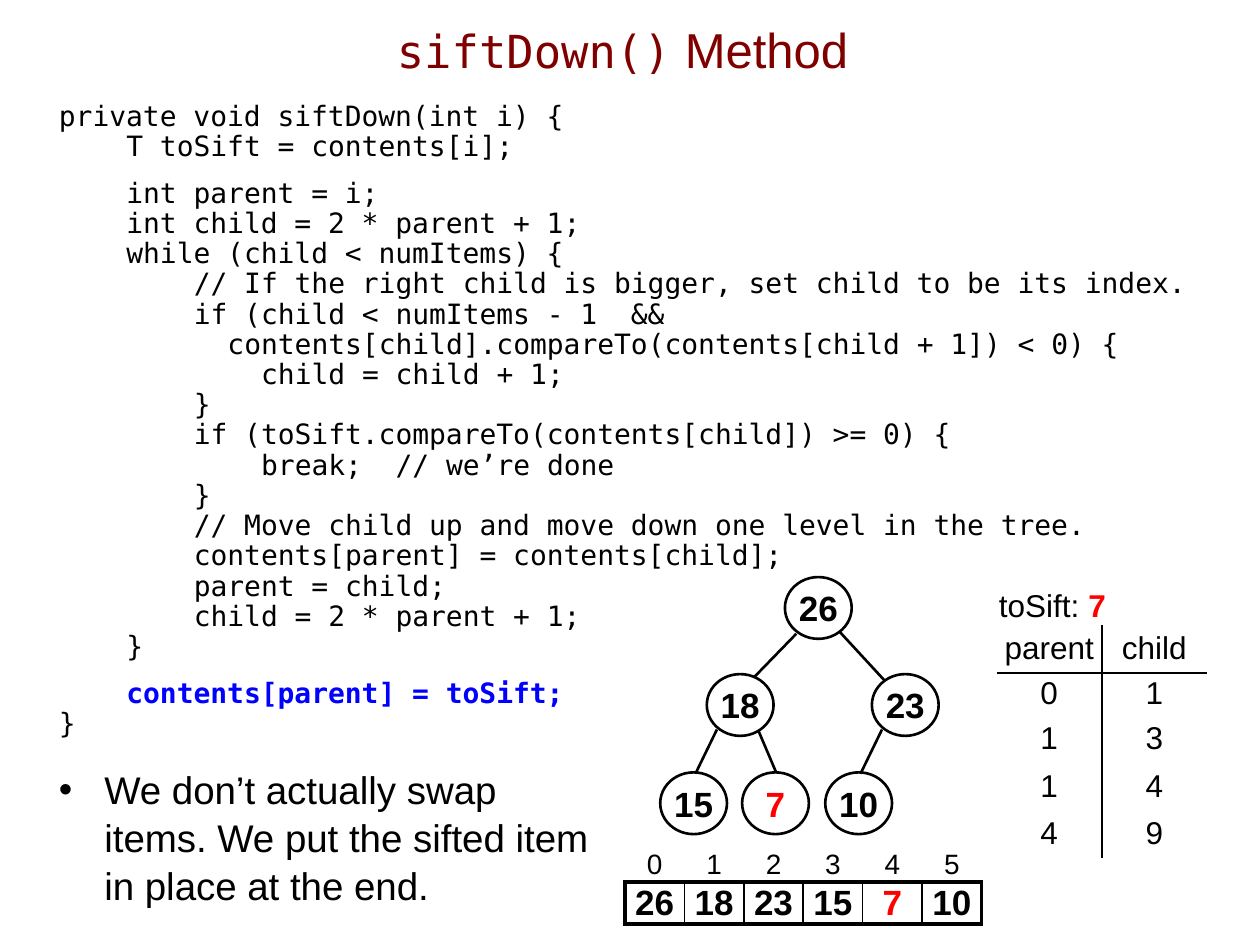
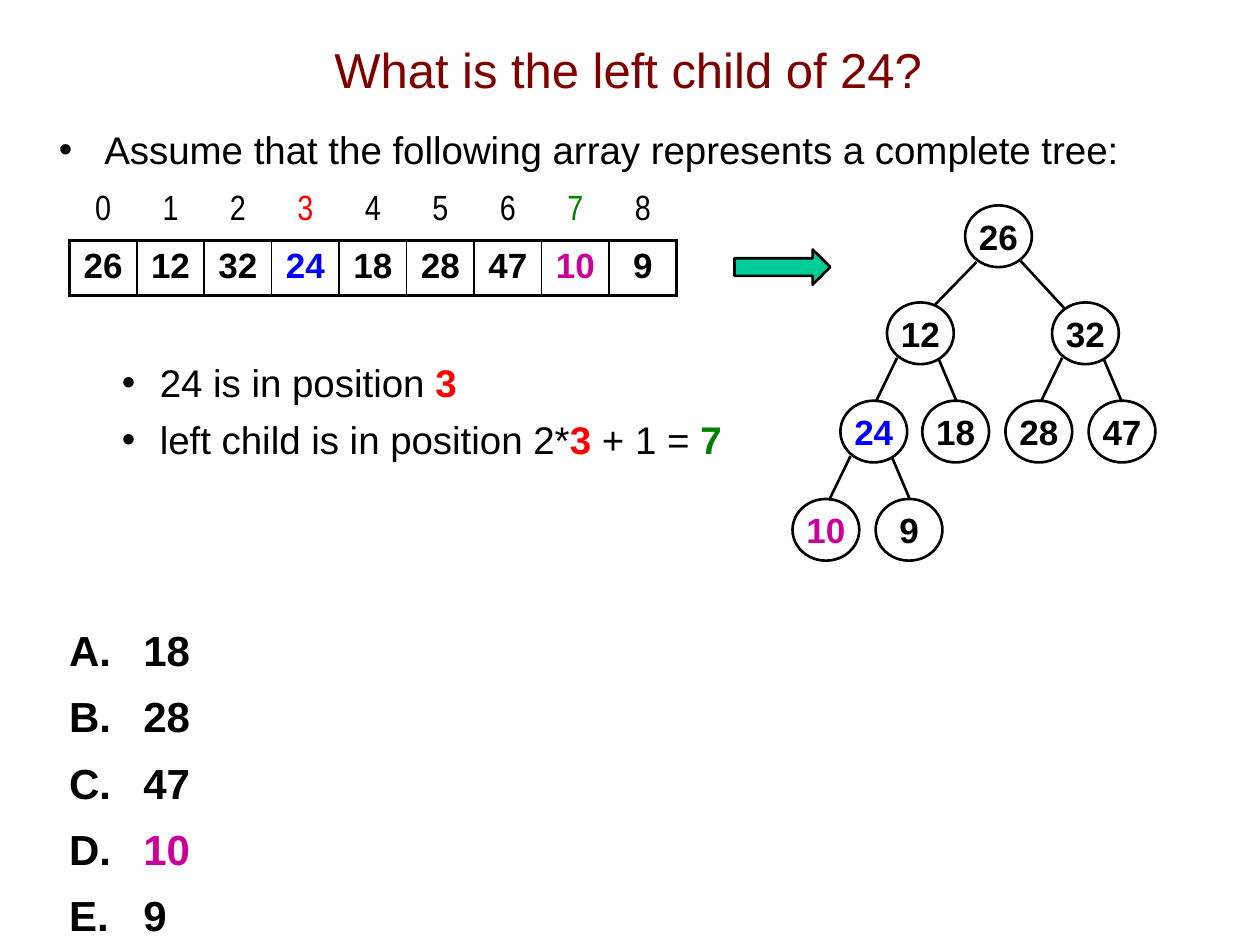
from dataclasses import dataclass
from typing import NamedTuple

from lxml import etree
from pptx import Presentation
from pptx import util as u
from pptx.dml import color
from pptx.enum import shapes, text
from pptx.oxml import ns

PX = 9144  # EMU in one px: 100 px to the inch


@dataclass(frozen=True)
class Theme:
    black: str = "000000"
    maroon: str = "800000"
    red: str = "FF0000"
    blue: str = "0000FF"
    green: str = "008000"
    magenta: str = "CC0099"
    teal: str = "00CC99"
    sans: str = "Arial"
    narrow: str = "Arial Narrow"
    mono: str = "DejaVu Sans Mono"
    title: int = 28
    mono_title: int = 26
    option: int = 24
    body: int = 22
    value: int = 20
    label: int = 18
    code: int = 16
    line: float = 1.5
    thick: float = 2.25
    thin: float = 1
    leading: float = 1.04


T = Theme()


class Box(NamedTuple):
    x: int
    y: int
    w: int
    h: int

    def emu(self):
        return [v * PX for v in self]


CODE = """\
private void siftDown(int i) {
    T toSift = contents[i];

    int parent = i;
    int child = 2 * parent + 1;
    while (child < numItems) {
        // If the right child is bigger, set child to be its index.
        if (child < numItems - 1  &&
          contents[child].compareTo(contents[child + 1]) < 0) {
            child = child + 1;
        }
        if (toSift.compareTo(contents[child]) >= 0) {
            break;  // we’re done
        }
        // Move child up and move down one level in the tree.
        contents[parent] = contents[child];
        parent = child;
        child = 2 * parent + 1;
    }

    contents[parent] = toSift;
}"""
KEY_LINE = "contents[parent] = toSift;"
CODE_CHAR = 9.63  # advance of one code character, in points
CODE_GAP = 9.6    # half a line

# Tree nodes in heap order, from the root's top-left corner
NODE_W, NODE_H = 53, 49
SLOTS = [(0, 0), (-62, 77), (69, 77), (-99, 155), (-34, 155), (32, 155),
         (98, 155), (-137, 233), (-71, 233)]
# Edge ends from the parent's corner: left child, right child
ROOT_EDGES = [(9, 45, -24, 79), (43, 43, 79, 82)]
EDGES = [(8, 44, -9, 79), (41, 45, 55, 78)]


def rgb(value):
    return color.RGBColor.from_string(value)


# ---- Text ----
def write(p, spans, size, font=T.sans, ink=T.black, bold=None):
    """Append spans; a (text, colour) span is bold unless bold is given."""
    for span in spans:
        words, tint = (span, ink) if isinstance(span, str) else span
        for i, line in enumerate(words.split("\n")):
            if i:
                p.add_line_break()
            r = p.add_run()
            r.text = line
            r.font.name, r.font.size = font, u.Pt(size)
            r.font.bold = tint != ink if bold is None else bold
            r.font.color.rgb = rgb(tint)


def next_paragraph(tf):
    return tf.paragraphs[0] if not tf.paragraphs[0].runs else tf.add_paragraph()


def space(p, line, before=0):
    p.line_spacing = line
    p.space_before = u.Pt(before)


def indent(p, left, hanging=0):
    pPr = p._p.get_or_add_pPr()
    pPr.set("marL", str(int(left)))
    pPr.set("indent", str(-int(hanging)))
    return pPr


def bullet(p, left, hanging, number=None):
    pPr = indent(p, left * PX, hanging * PX)
    tint = etree.SubElement(pPr, ns.qn("a:buClr"))
    etree.SubElement(tint, ns.qn("a:srgbClr"), val=T.black)
    etree.SubElement(pPr, ns.qn("a:buFont"), typeface=T.sans)
    if number:
        etree.SubElement(pPr, ns.qn("a:buAutoNum"), type=number)
    else:
        etree.SubElement(pPr, ns.qn("a:buChar"), char="•")


def text_box(s, box, wrap=True):
    tf = s.shapes.add_textbox(*box.emu()).text_frame
    tf.word_wrap = wrap
    return tf


def title(s, box):
    sp = s.shapes.title
    sp.left, sp.top, sp.width, sp.height = box.emu()
    tf = sp.text_frame
    tf.auto_size = text.MSO_AUTO_SIZE.NONE
    tf.vertical_anchor = text.MSO_ANCHOR.MIDDLE
    p = tf.paragraphs[0]
    p.alignment = text.PP_ALIGN.CENTER
    return p


def bullet_item(tf, spans, before=0, left=36, hanging=36):
    p = next_paragraph(tf)
    write(p, spans, T.body)
    space(p, T.leading, before)
    bullet(p, left, hanging)


def code_listing(tf):
    gap = 0
    for line in CODE.split("\n"):
        if not line:
            gap = CODE_GAP
            continue
        words = line.lstrip()
        p = next_paragraph(tf)
        write(p, [(words, T.blue) if words == KEY_LINE else words], T.code, T.mono)
        space(p, 0.9, gap)
        indent(p, u.Pt((len(line) - len(words)) * CODE_CHAR))
        gap = 0


def options(s, box, answers):
    tf = text_box(s, box)
    for answer in answers:
        p = next_paragraph(tf)
        write(p, [answer], T.option, bold=True)
        space(p, T.leading, 8)
        bullet(p, 59, 59, "alphaUcPeriod")


# ---- Tables ----
def borders(cell, widths):
    """Set left, right, top and bottom borders; 0 hides one."""
    tcPr = cell._tc.get_or_add_tcPr()
    for i, (side, width) in enumerate(zip("LRTB", widths)):
        ln = etree.Element(ns.qn("a:ln" + side), w=str(u.Pt(width)))
        if width:
            fill = etree.SubElement(ln, ns.qn("a:solidFill"))
            etree.SubElement(fill, ns.qn("a:srgbClr"), val=T.black)
        else:
            etree.SubElement(ln, ns.qn("a:noFill"))
        tcPr.insert(i, ln)


def grid(s, box, heights, columns):
    table = s.shapes.add_table(len(heights), columns, *box.emu()).table
    table.first_row = table.horz_banding = False
    for col in table.columns:
        col.width = box.w * PX // columns
    for row, height in zip(table.rows, heights):
        row.height = height * PX
    return table


def fill_row(table, row, values, size, edges, font=T.sans, bold=False, pad=0):
    last = len(values) - 1
    for i, value in enumerate(values):
        cell = table.cell(row, i)
        cell.fill.background()
        cell.margin_left = cell.margin_right = 0
        cell.margin_top = cell.margin_bottom = pad * PX
        cell.vertical_anchor = text.MSO_ANCHOR.TOP if pad else text.MSO_ANCHOR.MIDDLE
        p = cell.text_frame.paragraphs[0]
        p.alignment = text.PP_ALIGN.CENTER
        write(p, [value], size, font, bold=bold)
        side, inner, top, bottom = edges
        borders(cell, (inner if i else side, inner if i < last else side, top, bottom))


ARRAY_EDGES = (T.thick, T.thin, T.thick, T.thick)
NO_EDGES = (0, 0, 0, 0)


def trace_table(s, box, rows):
    table = grid(s, box, [38, 33, 38, 38, 38], 2)
    for i, values in enumerate(rows):
        top, bottom = T.thin * (i == 1), T.thin * (i == 0)
        fill_row(table, i, values, T.label, (0, T.thin, top, bottom))


# ---- Tree ----
def tree(s, x, y, values):
    for i, value in enumerate(values):
        dx, dy = SLOTS[i]
        sp = s.shapes.add_shape(shapes.MSO_SHAPE.OVAL,
                                *Box(x + dx, y + dy, NODE_W, NODE_H).emu())
        outline(sp)
        sp.fill.background()
        tf = sp.text_frame
        tf.margin_left = tf.margin_right = tf.margin_top = tf.margin_bottom = 0
        tf.word_wrap = False
        tf.vertical_anchor = text.MSO_ANCHOR.MIDDLE
        p = tf.paragraphs[0]
        p.alignment = text.PP_ALIGN.CENTER
        write(p, [value], T.value, bold=True)
        if i:
            parent, side = (i - 1) // 2, (i - 1) % 2
            px, py = SLOTS[parent]
            x1, y1, x2, y2 = (EDGES if parent else ROOT_EDGES)[side]
            edge(s, x + px + x1, y + py + y1, x + px + x2, y + py + y2)


def outline(sp):
    sp.shadow.inherit = False
    sp.line.color.rgb = rgb(T.black)
    sp.line.width = u.Pt(T.line)


def edge(s, *ends):
    cx = s.shapes.add_connector(shapes.MSO_CONNECTOR.STRAIGHT, *(v * PX for v in ends))
    cx.line.color.rgb = rgb(T.black)
    cx.line.width = u.Pt(T.line)
    etree.SubElement(cx._element.spPr, ns.qn("a:effectLst"))


# ---- Slides ----
def sift_down_slide(s):
    p = title(s, Box(64, -8, 860, 93))
    write(p, ["siftDown()"], T.mono_title, T.mono, T.maroon)
    write(p, [" Method"], T.title, ink=T.maroon)

    tf = text_box(s, Box(37, 76, 963, 614))
    code_listing(tf)
    bullet_item(tf, ["We don’t actually swap\nitems. We put the sifted item\n"
                     "in place at the end."], before=14)

    seven = ("7", T.red)
    tree(s, 623, 458, ["26", "18", "23", "15", seven, "10"])

    # Trace of the variables
    tf = text_box(s, Box(783, 460, 105, 40), wrap=False)
    write(tf.paragraphs[0], ["toSift: ", seven], T.label)
    trace_table(s, Box(791, 496, 167, 185),
                [("parent", "child"), "01", "13", "14", "49"])

    # Array with its indices
    table = grid(s, Box(496, 672, 283, 61), [28, 33], 6)
    fill_row(table, 0, "012345", T.code, (0, 0, 0, T.thick))
    fill_row(table, 1, ["26", "18", "23", "15", seven, "10"], T.value,
             ARRAY_EDGES, bold=True)


def left_child_slide(s):
    write(title(s, Box(58, 8, 881, 93)), ["What is the left child of 24?"],
          T.title, ink=T.maroon)

    tf = text_box(s, Box(37, 94, 917, 614))
    three = ("3", T.red)
    seven = ("7", T.green)
    bullet_item(tf, ["Assume that the following array represents a complete tree:"])
    bullet_item(tf, ["24 is in position ", three], 105.6, 80, 30)
    bullet_item(tf, ["left child is in position 2*", three, " + 1 = ", seven],
                5.2, 80, 30)

    ten = ("10", T.magenta)
    options(s, Box(45, 489, 963, 257), ["18", "28", "47", ten, "9"])

    # Array with its indices
    heap = ["26", "12", "32", ("24", T.blue), "18", "28", "47", ten, "9"]
    fill_row(grid(s, Box(55, 191, 482, 42), [42], 9), 0, heap, T.value,
             ARRAY_EDGES, bold=True, pad=5)
    fill_row(grid(s, Box(55, 150, 482, 41), [41], 9), 0,
             ["0", "1", "2", three, "4", "5", "6", seven, "8"], T.value,
             NO_EDGES, T.narrow, pad=5)

    # Arrow from array to tree
    sp = s.shapes.add_shape(shapes.MSO_SHAPE.RIGHT_ARROW, *Box(583, 198, 76, 28).emu())
    outline(sp)
    sp.fill.solid()
    sp.fill.fore_color.rgb = rgb(T.teal)
    tree(s, 766, 163, heap)


def main():
    prs = Presentation()
    prs.slide_width, prs.slide_height = 1000 * PX, 750 * PX
    for build in (sift_down_slide, left_child_slide):
        build(prs.slides.add_slide(prs.slide_layouts[5]))
    prs.save("out.pptx")


if __name__ == "__main__":
    main()
